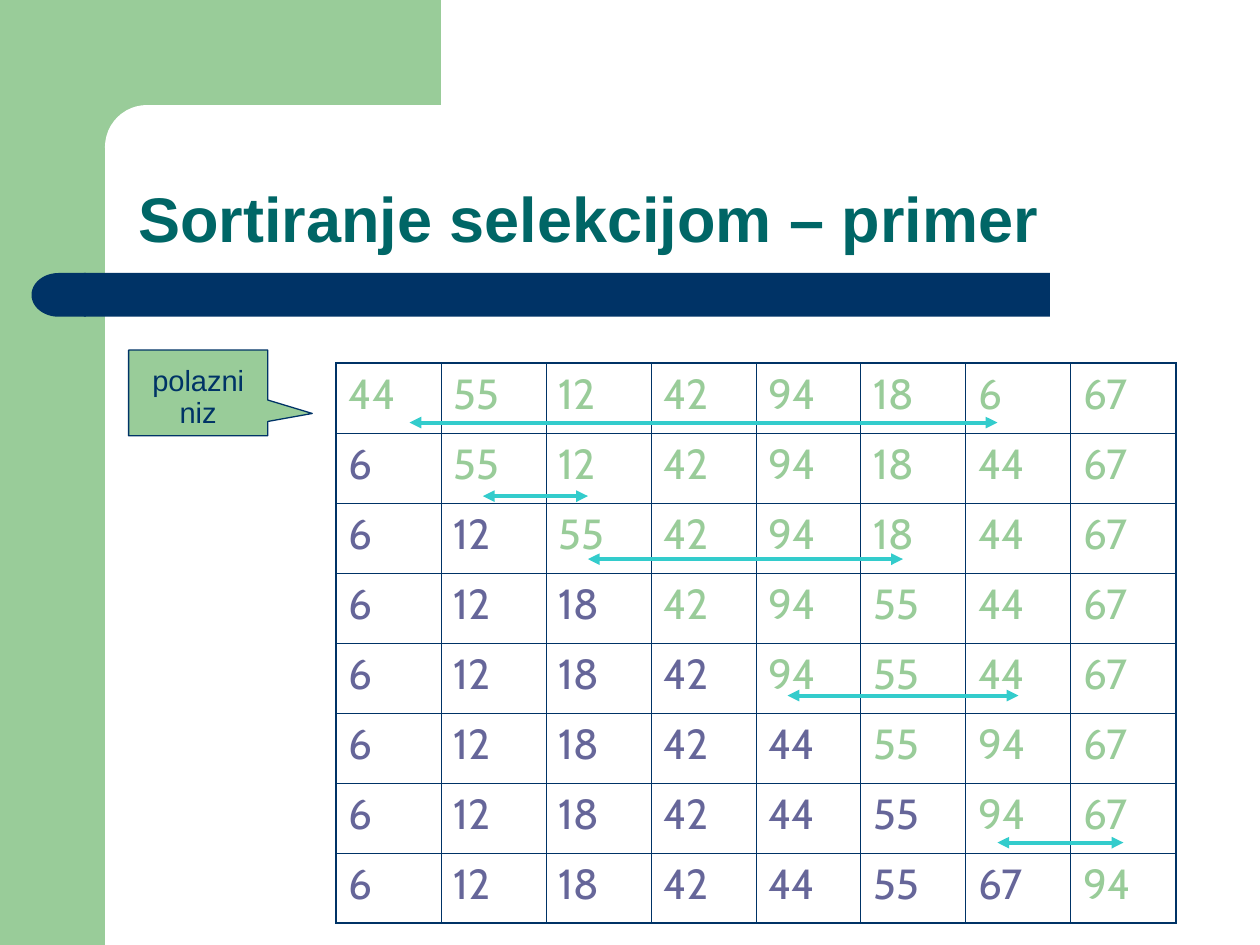
"""Build a slide that traces selection sort one pass per table row."""
from typing import NamedTuple, Optional

from lxml.etree import SubElement
from pptx import Presentation
from pptx.dml.color import RGBColor
from pptx.enum.shapes import MSO_CONNECTOR as Connector, MSO_SHAPE as Shape
from pptx.enum.text import MSO_ANCHOR as Anchor, PP_ALIGN as Align
from pptx.oxml.ns import qn
from pptx.util import Pt

GREEN, NAVY, WHITE = "99CC99", "003366", "FFFFFF"
TEAL, PURPLE, CYAN = "006666", "666699", "33CCCC"
NUMBERS = [44, 55, 12, 42, 94, 18, 6, 67]
TABLE_LEFT, TABLE_TOP, COLUMN_WIDTH, ROW_HEIGHT = 192, 207.5, 60, 40
THIN, THICK = 0.45, 1.08
TITLE_FONT = {"name": "Arial", "size": Pt(36), "bold": True}
NUMBER_FONT = {"name": "Cabin", "size": Pt(24), "bold": False}
CALLOUT_FONT = {"name": "Arial", "size": Pt(16.6), "bold": False}
INSETS = {"margin_left": Pt(7.2), "margin_right": Pt(7.2),
          "margin_top": Pt(3.6), "margin_bottom": Pt(3.6)}


class Panel(NamedTuple):
    kind: Shape
    left: float
    top: float
    width: float
    height: float
    fill: str
    corner: Optional[float] = None
    rotation: float = 0


class Swap(NamedTuple):
    start: float
    end: float
    y: float


PANELS = [
    Panel(Shape.RECTANGLE, 0, 0, 60, 540, GREEN),
    Panel(Shape.RECTANGLE, 54, 0, 198, 84, GREEN),
    Panel(Shape.ROUNDED_RECTANGLE, 60, 60, 402, 48, WHITE, corner=0.5),
    Panel(Shape.ROUNDED_RECTANGLE, 48, 156, 552, 25, NAVY, corner=0),
    Panel(Shape.FLOWCHART_DELAY, 18, 156, 31, 25, NAVY, rotation=180),
]
SWAPS = [Swap(234, 570, 241.5), Swap(276, 336, 283.5), Swap(336, 516, 319.5),
         Swap(450, 582, 397.5), Swap(570, 642, 481.5)]


def colour(value: str) -> RGBColor:
    return RGBColor.from_string(value)


def apply(target, values: dict) -> None:
    for key, value in values.items():
        setattr(target, key, value)


def write(frame, wording: str, font: dict, ink: str, **layout) -> None:
    paragraph = frame.paragraphs[0]
    apply(paragraph, layout)
    run = paragraph.add_run()
    run.text = wording
    apply(run.font, font)
    run.font.color.rgb = colour(ink)


def draw_panel(slide, panel: Panel):
    shape = slide.shapes.add_shape(panel.kind, *map(Pt, panel[1:5]))
    shape.shadow.inherit = False
    shape.fill.solid()
    shape.fill.fore_color.rgb = colour(panel.fill)
    shape.line.fill.background()
    shape.rotation = panel.rotation
    if panel.corner is not None:
        shape.adjustments[0] = panel.corner
    return shape


def draw_title(slide, wording: str) -> None:
    title = slide.shapes.title
    apply(title, {"left": Pt(72), "top": Pt(60), "width": Pt(630), "height": Pt(90)})
    apply(title.text_frame, INSETS | {"vertical_anchor": Anchor.BOTTOM, "word_wrap": True})
    write(title.text_frame, wording, TITLE_FONT, TEAL, alignment=Align.LEFT, line_spacing=0.9)
    slide.shapes._spTree.append(title._element)


def sorting_passes(numbers: list[int]) -> list[list[int]]:
    passes = [list(numbers)]
    for position in range(len(numbers) - 1):
        row = list(passes[-1])
        smallest = row.index(min(row[position:]))
        row[position], row[smallest] = row[smallest], row[position]
        passes.append(row)
    return passes


def draw_borders(cell, widths: dict[str, float]) -> None:
    properties = cell._tc.get_or_add_tcPr()
    for side, width in widths.items():
        line = SubElement(properties, qn(f"a:ln{side}"), w=str(int(Pt(width))))
        fill = SubElement(line, qn("a:solidFill"))
        SubElement(fill, qn("a:srgbClr"), val=NAVY)


def draw_passes(slide, passes: list[list[int]]) -> None:
    count = len(passes)
    last = count - 1
    table = slide.shapes.add_table(
        count, count, Pt(TABLE_LEFT), Pt(TABLE_TOP),
        Pt(count * COLUMN_WIDTH), Pt(count * ROW_HEIGHT)).table
    apply(table, {"first_row": False, "horz_banding": False})
    for r, numbers in enumerate(passes):
        for c, number in enumerate(numbers):
            cell = table.cell(r, c)
            apply(cell, INSETS)
            write(cell.text_frame, str(number), NUMBER_FONT, PURPLE if c < r else GREEN)
            outer = {"L": c == 0, "R": c == last, "T": r == 0, "B": r == last}
            draw_borders(cell, {side: THICK if edge else THIN for side, edge in outer.items()})
            cell.fill.background()


def draw_swap(slide, swap: Swap) -> None:
    arrow = slide.shapes.add_connector(
        Connector.STRAIGHT, Pt(swap.start), Pt(swap.y), Pt(swap.end), Pt(swap.y))
    arrow.line.color.rgb = colour(CYAN)
    arrow.line.width = Pt(2.25)
    for end in ("headEnd", "tailEnd"):
        SubElement(arrow.line._get_or_add_ln(), qn(f"a:{end}"), type="triangle")
    SubElement(arrow._element.spPr, qn("a:effectLst"))


def draw_callout(slide, wording: str) -> None:
    callout = draw_panel(slide, Panel(Shape.RECTANGULAR_CALLOUT, 73.5, 200, 79.5, 49, GREEN))
    callout.adjustments[0], callout.adjustments[1] = 0.82, 0.24
    callout.line.color.rgb = colour(NAVY)
    callout.line.width = Pt(0.75)
    apply(callout.text_frame, INSETS | {"vertical_anchor": Anchor.BOTTOM, "word_wrap": True})
    write(callout.text_frame, wording, CALLOUT_FONT, NAVY,
          alignment=Align.CENTER, line_spacing=0.9)


def main() -> None:
    deck = Presentation()
    apply(deck, {"slide_width": Pt(720), "slide_height": Pt(540)})
    slide = deck.slides.add_slide(deck.slide_layouts.get_by_name("Title Only"))
    for panel in PANELS:
        draw_panel(slide, panel)
    draw_title(slide, "Sortiranje selekcijom – primer")
    draw_passes(slide, sorting_passes(NUMBERS))
    for swap in SWAPS:
        draw_swap(slide, swap)
    draw_callout(slide, "polazni niz")
    deck.save("out.pptx")


if __name__ == "__main__":
    main()
